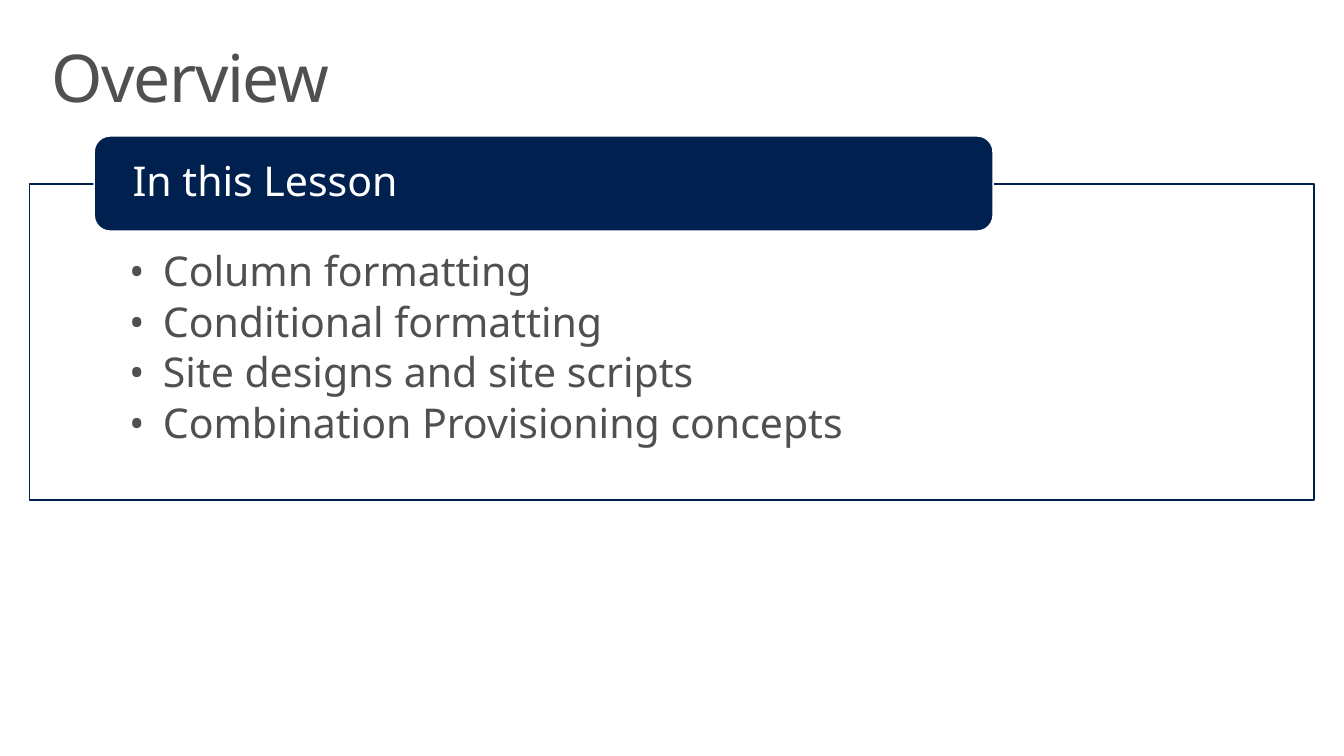
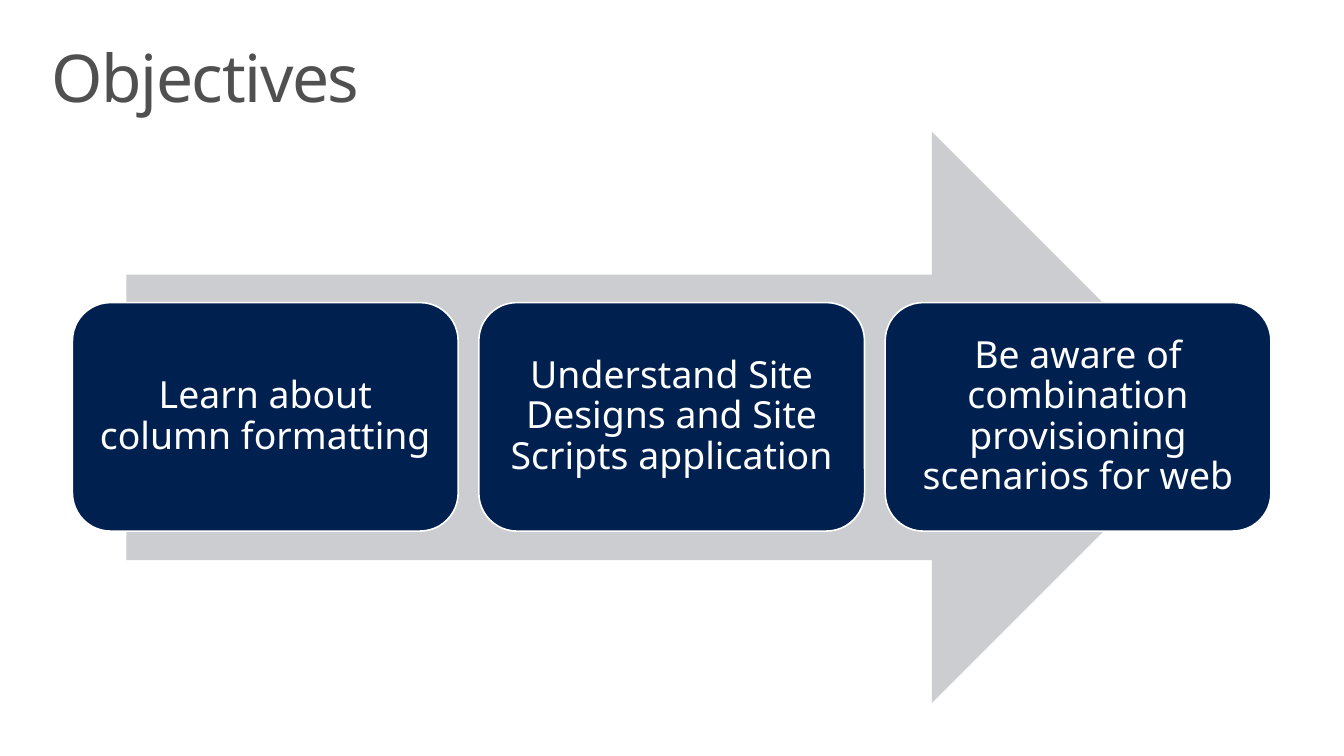
import pptx
import pptx.util
import pptx.dml.color
import pptx.enum.shapes
import pptx.enum.text
import pptx.oxml.ns
import lxml.etree

Cm, Pt = pptx.util.Cm, pptx.util.Pt
RGB = pptx.dml.color.RGBColor
KIND = pptx.enum.shapes.MSO_SHAPE
ALIGN = pptx.enum.text.PP_ALIGN
ANCHOR = pptx.enum.text.MSO_ANCHOR
qn = pptx.oxml.ns.qn

# Shared look
NAVY = RGB(0x00, 0x20, 0x50)
GREY = RGB(0x50, 0x50, 0x50)
PALE = RGB(0xCC, 0xCD, 0xD0)
WHITE = RGB(0xFF, 0xFF, 0xFF)
FONT = "Noto Sans"
LEFT, WIDTH = 0.56, 24.28


def write(shape, lines, size=22, color=WHITE, align=ALIGN.LEFT,
          anchor=ANCHOR.MIDDLE, pad=(0, 0, 0, 0), bullet=False,
          after=0, track=0):
    """Fill a shape with paragraphs; pad is left, top, right, bottom in cm."""
    frame = shape.text_frame
    frame.word_wrap = True
    frame.vertical_anchor = anchor
    (frame.margin_left, frame.margin_top,
     frame.margin_right, frame.margin_bottom) = map(Cm, pad)
    for i, line in enumerate(lines):
        para = frame.add_paragraph() if i else frame.paragraphs[0]
        para.alignment = align
        para.line_spacing = 0.9
        para.space_after = Pt(after)
        run = para.add_run()
        run.text = line
        run.font.name = FONT
        run.font.size = Pt(size)
        run.font.color.rgb = color
        if track:
            run.font._element.set("spc", str(track))
        if bullet:
            props = para._p.get_or_add_pPr()
            props.set("marL", str(Cm(0.64)))
            props.set("indent", str(-Cm(0.64)))
            lxml.etree.SubElement(props, qn("a:buFont")).set("typeface", FONT)
            lxml.etree.SubElement(props, qn("a:buChar")).set("char", "•")


def draw(slide, kind, box, fill, line=None):
    """Add a flat preset shape; box is left, top, width, height in cm."""
    shape = slide.shapes.add_shape(kind, *map(Cm, box))
    shape.shadow.inherit = False
    shape.fill.solid()
    shape.fill.fore_color.rgb = fill
    if line is None:
        shape.line.fill.background()
    else:
        shape.line.color.rgb = line
        shape.line.width = Pt(0.85)
    return shape


deck = pptx.Presentation()
deck.slide_width, deck.slide_height = Cm(25.4), Cm(14.29)

# Slides with their titles
pages = []
for name in ("Overview", "Objectives"):
    page = deck.slides.add_slide(deck.slide_layouts[6])
    title = page.shapes.add_textbox(Cm(LEFT), Cm(0.61), Cm(WIDTH), Cm(1.88))
    write(title, [name], size=35.3, color=GREY, anchor=ANCHOR.TOP,
          pad=(0.41, 0.25, 0.41, 0.25), track=-75)
    pages.append(page)
first, second = pages

# Overview: framed topic list
panel = draw(first, KIND.RECTANGLE, (LEFT, 3.48, WIDTH, 5.97), WHITE, NAVY)
tint = panel._element.spPr.find(qn("a:solidFill"))[0]
lxml.etree.SubElement(tint, qn("a:alpha")).set("val", "90000")
topics = ["Column formatting", "Conditional formatting",
          "Site designs and site scripts", "Combination Provisioning concepts"]
write(panel, topics, color=GREY, anchor=ANCHOR.TOP,
      pad=(1.88, 1.27, 1.88, 0.43), bullet=True, after=3.3)

# Overview: banner across the top edge of the frame
banner = draw(first, KIND.ROUNDED_RECTANGLE, (1.78, 2.57, 16.99, 1.8),
              NAVY, WHITE)
write(banner, ["In this Lesson"], pad=(0.64, 0, 0.64, 0))

# Objectives: arrow behind a row of cards
draw(second, KIND.RIGHT_ARROW, (2.39, 2.49, 20.62, 10.8), PALE)
goals = ["Learn about column formatting",
         "Understand Site Designs and Site Scripts application",
         "Be aware of combination provisioning scenarios for web"]
wide, gap = 7.29, 0.39
for i, goal in enumerate(goals):
    card = draw(second, KIND.ROUNDED_RECTANGLE,
                (1.37 + i * (wide + gap), 5.72, wide, 4.32), NAVY, WHITE)
    write(card, [goal], size=20, align=ALIGN.CENTER, pad=(0.2,) * 4)

deck.save("out.pptx")
